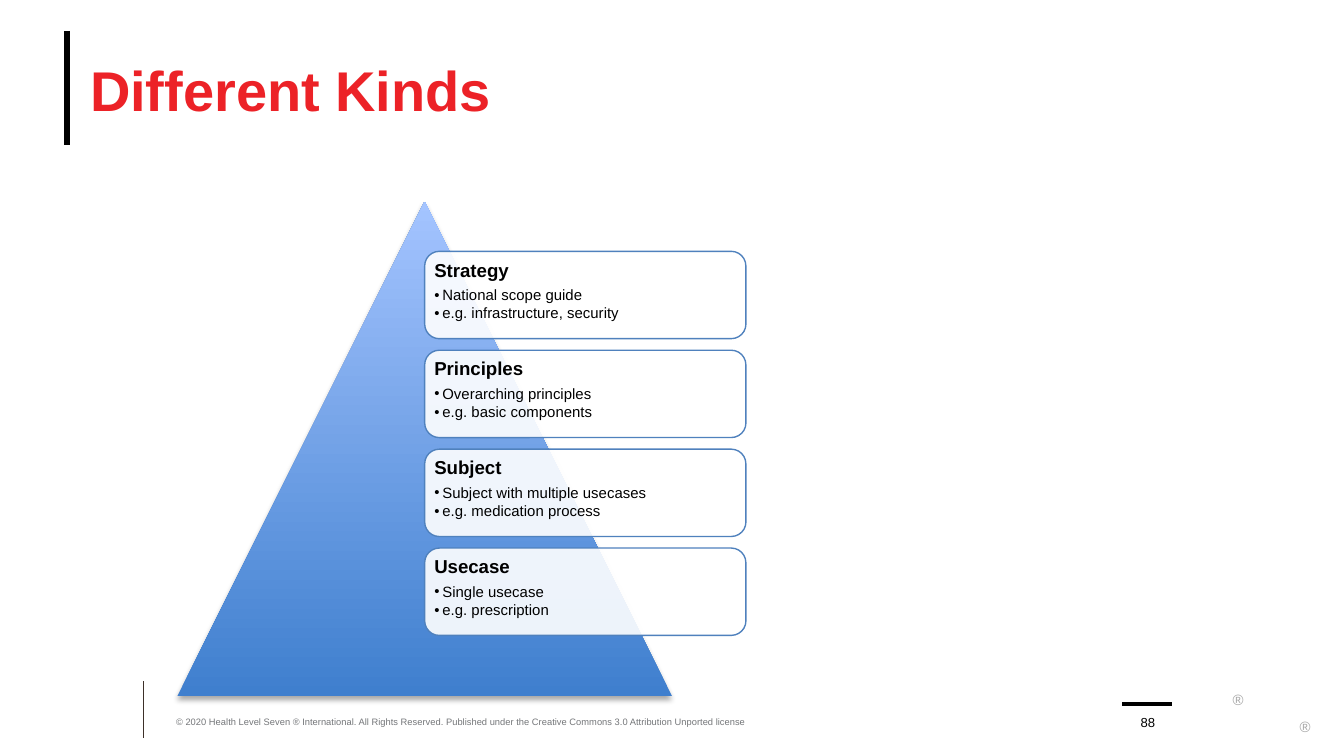
from dataclasses import dataclass

from lxml import etree
from pptx import Presentation
from pptx import util as u
from pptx.dml.color import RGBColor
from pptx.enum import shapes, text
from pptx.oxml import ns

FONT = "Arial"
COLORS = {
    "title": "EC2227",
    "ink": "000000",
    "rule": "3D3029",
    "copyright": "747679",
    "mark": "A6A6A6",
    "pyramid_base": "3F7FCE",
    "pyramid_tip": "A4C4FF",
    "card": "FFFFFF",
    "card_edge": "4F81BD",
}


@dataclass
class Rule:
    start: tuple[float, float]
    end: tuple[float, float]
    color: str
    width: float


@dataclass
class Level:
    heading: str
    points: list[str]


RULES = [
    Rule((0.5, 0.23), (0.5, 1.08), "ink", 3.25),
    Rule((1.07, 5.07), (1.07, 5.49), "rule", 0.5),
    Rule((8.35, 5.24), (8.72, 5.24), "ink", 2),
]
LEVELS = [
    Level("Strategy", ["National scope guide", "e.g. infrastructure, security"]),
    Level("Principles", ["Overarching principles", "e.g. basic components"]),
    Level("Subject", ["Subject with multiple usecases", "e.g. medication process"]),
    Level("Usecase", ["Single usecase", "e.g. prescription"]),
]
PYRAMID_LEFT, PYRAMID_TOP, PYRAMID_SIZE = 1.32, 1.5, 3.68
CARD_WIDTH, CARD_HEIGHT, CARD_TOP = 2.39, 0.65, 1.87


def rgb(name: str) -> RGBColor:
    return RGBColor.from_string(COLORS[name])


def add_xml(parent, tag: str, **attributes: str):
    return etree.SubElement(parent, ns.qn(tag), attributes)


def write(paragraph, words: str, *, size: float, color: str = "ink", bold: bool = False,
          align=text.PP_ALIGN.LEFT, spacing: float = 1, after: float = 0, bullet: bool = False) -> None:
    paragraph.alignment = align
    paragraph.line_spacing = spacing
    paragraph.space_after = u.Pt(after)
    if bullet:
        paragraph.level = 1
        properties = paragraph._p.get_or_add_pPr()
        indent = u.Inches(0.06)
        properties.set("marL", str(indent))
        properties.set("indent", str(-indent))
        add_xml(properties, "a:buFont", typeface=FONT)
        add_xml(properties, "a:buChar", char="•")
    run = paragraph.add_run()
    run.text = words
    run.font.name = FONT
    run.font.size = u.Pt(size)
    run.font.bold = bold
    run.font.color.rgb = rgb(color)


def set_insets(frame, inset: float) -> None:
    frame.margin_left = frame.margin_right = u.Inches(inset)
    frame.margin_top = frame.margin_bottom = u.Inches(inset)


def add_label(slide, place: tuple[float, float, float, float], words: str, *,
              anchor=text.MSO_ANCHOR.BOTTOM, **style) -> None:
    frame = slide.shapes.add_textbox(*map(u.Inches, place)).text_frame
    frame.word_wrap = True
    frame.vertical_anchor = anchor
    set_insets(frame, 0)
    write(frame.paragraphs[0], words, **style)


def add_mark(slide, left: float, top: float, width: float) -> None:
    frame = slide.shapes.add_textbox(
        u.Inches(left), u.Inches(top), u.Inches(width), u.Inches(0.09)).text_frame
    frame.word_wrap = False
    frame.auto_size = text.MSO_AUTO_SIZE.SHAPE_TO_FIT_TEXT
    write(frame.paragraphs[0], "®", size=8, color="mark")


def add_rule(slide, rule: Rule) -> None:
    line = slide.shapes.add_connector(
        shapes.MSO_CONNECTOR.STRAIGHT, *map(u.Inches, rule.start + rule.end))
    line.line.color.rgb = rgb(rule.color)
    line.line.width = u.Pt(rule.width)
    add_xml(line._element.spPr, "a:effectLst")


def add_pyramid(slide) -> None:
    pyramid = slide.shapes.add_shape(
        shapes.MSO_SHAPE.ISOSCELES_TRIANGLE, u.Inches(PYRAMID_LEFT), u.Inches(PYRAMID_TOP),
        u.Inches(PYRAMID_SIZE), u.Inches(PYRAMID_SIZE))
    pyramid.shadow.inherit = False
    pyramid.line.fill.background()
    pyramid.fill.gradient()
    pyramid.fill.gradient_angle = 90
    for stop, name in zip(pyramid.fill.gradient_stops, ("pyramid_base", "pyramid_tip")):
        stop.color.rgb = rgb(name)
    # Soft shadow straight below
    effects = pyramid._element.spPr.find(ns.qn("a:effectLst"))
    shadow = add_xml(effects, "a:outerShdw", blurRad=str(u.Pt(3.1)), dist=str(u.Pt(1.8)),
                     dir="5400000", rotWithShape="0")
    shade = add_xml(shadow, "a:srgbClr", val=COLORS["ink"])
    add_xml(shade, "a:alpha", val="35000")


def add_card(slide, level: Level, top: float) -> None:
    card = slide.shapes.add_shape(
        shapes.MSO_SHAPE.ROUNDED_RECTANGLE, u.Inches(PYRAMID_LEFT + PYRAMID_SIZE / 2),
        u.Inches(top), u.Inches(CARD_WIDTH), u.Inches(CARD_HEIGHT))
    card.shadow.inherit = False
    card.fill.solid()
    card.fill.fore_color.rgb = rgb("card")
    tint = card._element.spPr.find(ns.qn("a:solidFill")).find(ns.qn("a:srgbClr"))
    add_xml(tint, "a:alpha", val="90000")
    card.line.color.rgb = rgb("card_edge")
    card.line.width = u.Pt(0.75)

    frame = card.text_frame
    frame.word_wrap = True
    frame.vertical_anchor = text.MSO_ANCHOR.TOP
    set_insets(frame, 0.04)
    write(frame.paragraphs[0], level.heading, size=10, bold=True, spacing=0.9, after=3.5)
    for point in level.points:
        write(frame.add_paragraph(), point, size=8, spacing=0.9, after=1.2, bullet=True)


def main() -> None:
    deck = Presentation()
    deck.slide_width = u.Inches(10)
    deck.slide_height = deck.slide_width * 9 // 16
    slide = deck.slides.add_slide(deck.slide_layouts[6])

    # Frame rules and registered marks
    for rule in RULES:
        add_rule(slide, rule)
    add_mark(slide, 9.16, 5.1, 0.11)
    add_mark(slide, 9.67, 5.3, 0.09)

    # Title and footer
    add_label(slide, (0.67, 0.23, 9, 0.86), "Different Kinds", size=30, color="title",
              bold=True, anchor=text.MSO_ANCHOR.MIDDLE)
    add_label(slide, (1.31, 5.24, 4.95, 0.17),
              "© 2020 Health Level Seven ® International. All Rights Reserved. "
              "Published under the Creative Commons 3.0 Attribution Unported license",
              size=5, color="copyright")
    add_label(slide, (8.39, 5.24, 0.3, 0.19), "88", size=7, align=text.PP_ALIGN.CENTER)

    # Pyramid with one card per level
    add_pyramid(slide)
    for index, level in enumerate(LEVELS):
        add_card(slide, level, CARD_TOP + index * PYRAMID_SIZE / 5)

    deck.save("out.pptx")


if __name__ == "__main__":
    main()
